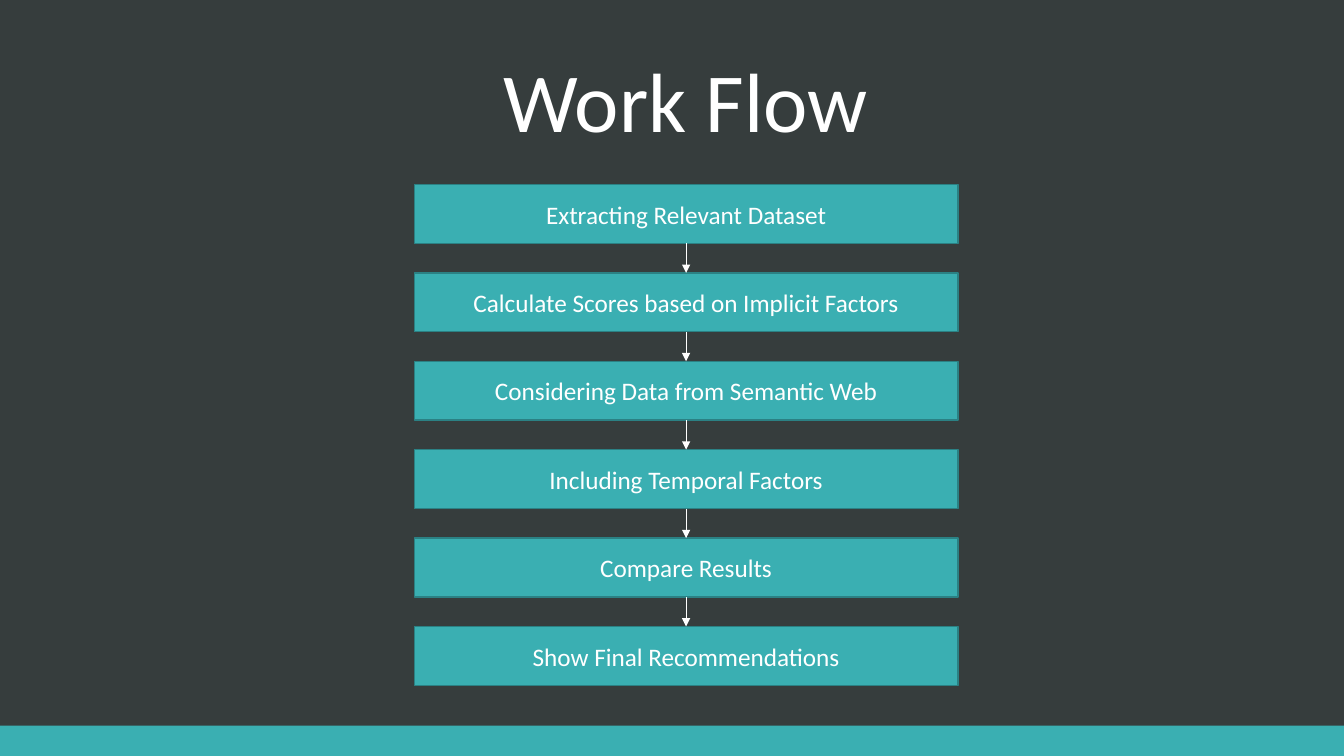
from dataclasses import dataclass

from lxml.etree import SubElement
from pptx import Presentation
from pptx.dml.color import RGBColor as RGB
from pptx.enum.shapes import MSO_CONNECTOR as CONN, MSO_SHAPE as SHAPE
from pptx.enum.text import MSO_ANCHOR as ANCHOR, PP_ALIGN as ALIGN
from pptx.oxml.ns import qn
from pptx.util import Inches, Pt


@dataclass(frozen=True)
class Theme:
    back: RGB = RGB(0x36, 0x3D, 0x3D)
    accent: RGB = RGB(0x3A, 0xAF, 0xB2)
    edge: RGB = RGB(0x2B, 0x81, 0x84)
    light: RGB = RGB(0xFF, 0xFF, 0xFF)
    font: str = "Calibri"
    title: int = 60
    step: int = 18
    edge_width: float = 1
    arrow_width: float = 0.5


THEME = Theme()
WIDTH, HEIGHT = 13.33, 7.5

# Regions: left, top, width, height in inches
TITLE_BOX = (1.6, 0.19, 10.4, 1.35)
FLOW_BOX = (4.11, 1.83, 5.39, 4.97)
FOOTER_BOX = (0, 0.96 * HEIGHT, WIDTH, 0.04 * HEIGHT)

STEPS = [
    "Extracting Relevant Dataset",
    "Calculate Scores based on Implicit Factors",
    "Considering Data from Semantic Web",
    "Including Temporal Factors",
    "Compare Results",
    "Show Final Recommendations",
]


def inches(box):
    return [Inches(v) for v in box]


def add_text(sp, text, size, anchor, spacing=1.0):
    tf = sp.text_frame
    tf.word_wrap = True
    tf.vertical_anchor = anchor
    p = tf.paragraphs[0]
    p.alignment = ALIGN.CENTER
    p.line_spacing = spacing
    r = p.add_run()
    r.text = text
    r.font.name = THEME.font
    r.font.size = Pt(size)
    r.font.color.rgb = THEME.light


def add_bar(s, box):
    sp = s.shapes.add_shape(SHAPE.RECTANGLE, *inches(box))
    sp.shadow.inherit = False
    sp.fill.solid()
    sp.fill.fore_color.rgb = THEME.accent
    return sp


def add_arrow(s, x, top, bottom):
    cx = s.shapes.add_connector(CONN.STRAIGHT, *inches((x, top, x, bottom)))
    cx.line.color.rgb = THEME.light
    cx.line.width = Pt(THEME.arrow_width)
    SubElement(cx.line._get_or_add_ln(), qn("a:tailEnd"), type="triangle")
    SubElement(cx._element.spPr, qn("a:effectLst"))


def add_footer(s, box):
    add_bar(s, box).line.fill.background()


def add_title(s, box):
    sp = s.shapes.add_textbox(*inches(box))
    add_text(sp, "Work Flow", THEME.title, ANCHOR.BOTTOM, 0.9)


def add_flow(s, box):
    left, top, width, height = box
    # Each gap is half as tall as a step
    step = height / (len(STEPS) + (len(STEPS) - 1) / 2)
    gap = step / 2
    for i, text in enumerate(STEPS):
        y = top + i * (step + gap)
        sp = add_bar(s, (left, y, width, step))
        sp.line.color.rgb = THEME.edge
        sp.line.width = Pt(THEME.edge_width)
        add_text(sp, text, THEME.step, ANCHOR.MIDDLE)
        if i:
            add_arrow(s, left + width / 2, y - gap, y)


def build_slide(prs):
    s = prs.slides.add_slide(prs.slide_layouts[6])
    s.background.fill.solid()
    s.background.fill.fore_color.rgb = THEME.back
    add_footer(s, FOOTER_BOX)
    add_title(s, TITLE_BOX)
    add_flow(s, FLOW_BOX)


prs = Presentation()
prs.slide_width, prs.slide_height = inches((WIDTH, HEIGHT))
build_slide(prs)
prs.save("out.pptx")
